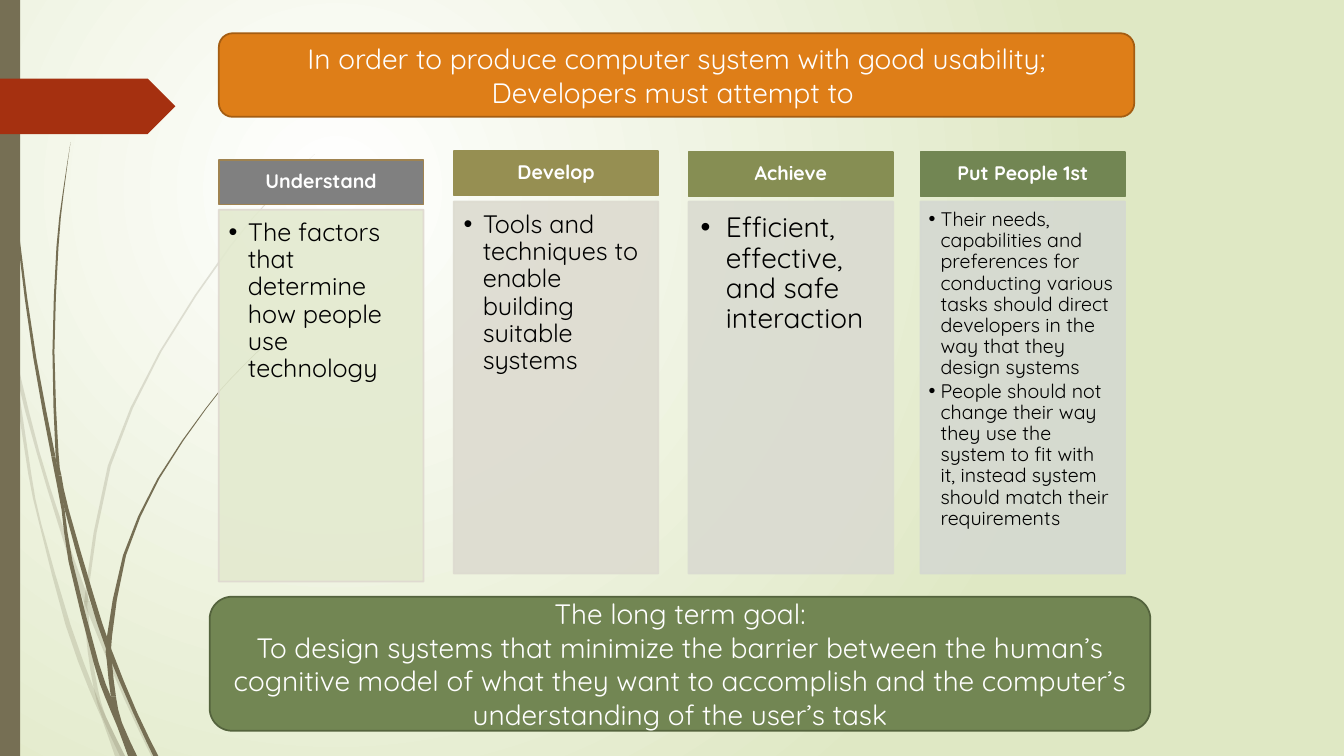
import lxml.etree
import pptx
import pptx.dml.color
import pptx.enum.shapes
import pptx.enum.text
import pptx.oxml.ns
import pptx.util

Inches = pptx.util.Inches
Pt = pptx.util.Pt
RGBColor = pptx.dml.color.RGBColor
MSO_SHAPE = pptx.enum.shapes.MSO_SHAPE
PP_ALIGN = pptx.enum.text.PP_ALIGN
MSO_ANCHOR = pptx.enum.text.MSO_ANCHOR
qn = pptx.oxml.ns.qn

FONT = "Quicksand"
WHITE = RGBColor(0xFF, 0xFF, 0xFF)
BLACK = RGBColor(0, 0, 0)
PALE_GREEN = RGBColor(0xDF, 0xE8, 0xC4)
BROWN = RGBColor(0x76, 0x6F, 0x54)
RED = RGBColor(0xA5, 0x30, 0x10)
ORANGE = RGBColor(0xDE, 0x7E, 0x18)
DARK_ORANGE = RGBColor(0xA4, 0x5D, 0x12)
GREEN = RGBColor(0x72, 0x86, 0x53)
DARK_GREEN = RGBColor(0x54, 0x63, 0x3D)
GREY = RGBColor(0x80, 0x80, 0x80)
TAN = RGBColor(0x9F, 0x83, 0x51)
OLIVE = RGBColor(0x96, 0x8F, 0x52)
MOSS = RGBColor(0x86, 0x8E, 0x53)
LIME_TINT = RGBColor(0xE3, 0xEA, 0xCF)
SAND_TINT = RGBColor(0xDF, 0xD9, 0xD0)
OLIVE_TINT = RGBColor(0xDD, 0xDB, 0xD0)
MOSS_TINT = RGBColor(0xDA, 0xDB, 0xD1)
GREEN_TINT = RGBColor(0xD5, 0xD9, 0xD1)

# Each blade has the heights of its joints, then rows of (y, left edge, right edge).
PALE_BLADES = [
    ((3.5, 7.13), [
        (2.82, 0, 0), (3, 0, .04), (3.22, .05, .09), (3.5, .11, .12), (3.76, .14, .17),
        (4.7, .28, .31), (5.2, .39, .41), (6.2, .65, .7), (6.83, .88, .93),
        (7.13, 1.01, 1.06), (7.5, 1.14, 1.24)]),
    ((5.97,), [
        (3.45, .14, .14), (3.76, .17, .21), (4.48, .36, .39), (5.21, .58, .62),
        (5.97, .83, .89), (6.93, 1.23, 1.27), (7.5, 1.5, 1.55)]),
    ((5.84, 6.1, 6.83), [
        (1.53, 3.12, 3.12), (1.75, 2.89, 2.9), (1.98, 2.67, 2.68), (2.45, 2.27, 2.29),
        (3.49, 1.58, 1.6), (4.62, 1.07, 1.1), (5.84, .85, .88), (6.1, .84, .88),
        (6.46, .87, .91), (6.83, .93, .97), (7.11, 1.01, 1.05), (7.5, 1.19, 1.24)]),
]
DARK_BLADES = [
    ((4.53, 5.05, 7.2), [
        (0, .03, .04), (.48, .04, .05), (1.1, .07, .08), (2.33, .17, .19), (3.55, .33, .36),
        (4.53, .51, .55), (5.05, .61, .64), (5.57, .68, .72), (6.58, .93, .98),
        (6.91, 1.04, 1.1), (7.2, 1.16, 1.2), (7.5, 1.27, 1.34)]),
    ((4.72, 6.43), [
        (1.41, .7, .7), (1.93, .62, .63), (2.45, .56, .58), (3.49, .52, .54),
        (4.49, .55, .58), (4.72, .58, .61), (5.05, .64, .68), (5.91, .88, .93),
        (6.43, 1.05, 1.1), (7.07, 1.32, 1.36), (7.5, 1.52, 1.57)]),
    ((6.32, 6.56, 6.91), [
        (3.44, 2.6, 2.61), (3.74, 2.3, 2.31), (4.05, 2.04, 2.05), (4.75, 1.56, 1.58),
        (5.51, 1.22, 1.25), (6.32, 1.06, 1.11), (6.56, 1.06, 1.11), (6.91, 1.1, 1.15),
        (7.17, 1.16, 1.21), (7.5, 1.28, 1.36)]),
]

COLUMNS = [
    dict(left=2.17, top=1.59, title="Understand", fill=GREY, line=TAN,
         tint=LIME_TINT, edge=SAND_TINT, size=18, indent=.19, insets=(.1, .1, .14, .16),
         points=["The factors that determine how people use technology"]),
    dict(left=4.5, top=1.5, title="Develop", fill=OLIVE, line=OLIVE,
         tint=OLIVE_TINT, edge=OLIVE_TINT, size=18, indent=.19, insets=(.1, .1, .14, .16),
         points=["Tools and techniques to enable building suitable systems"]),
    dict(left=6.83, top=1.51, title="Achieve", fill=MOSS, line=MOSS,
         tint=MOSS_TINT, edge=MOSS_TINT, size=20, indent=.25, insets=(.12, .12, .16, .17),
         points=["Efficient, effective, and safe interaction"]),
    dict(left=9.13, top=1.51, title="Put People 1st", fill=GREEN, line=GREEN,
         tint=GREEN_TINT, edge=GREEN_TINT, size=14, indent=.12, insets=(.08, .08, .11, .12),
         points=["Their needs, capabilities and preferences for conducting various tasks "
                 "should direct developers in the way that they design systems",
                 "People should not change their way they use the system to fit with it, "
                 "instead system should match their requirements"]),
]


def set_alpha(sp, percent):
    """Make every solid colour of a shape partly transparent."""
    for clr in sp.element.spPr.iter(qn("a:srgbClr")):
        lxml.etree.SubElement(clr, qn("a:alpha"), val=str(percent * 1000))


def paint(sp, fill, line=None):
    """Give a shape a plain fill, an optional outline and no shadow."""
    sp.shadow.inherit = False
    sp.fill.solid()
    sp.fill.fore_color.rgb = fill
    if line is None:
        sp.line.fill.background()
    else:
        sp.line.color.rgb = line
        sp.line.width = Pt(1.25)


def add_box(s, kind, box, fill, line=None):
    """Add a painted preset shape in a box given in inches."""
    sp = s.shapes.add_shape(kind, *map(Inches, box))
    paint(sp, fill, line)
    return sp


def add_text(sp, texts, size, color, align, anchor, insets, bold=False, spacing=1, indent=0):
    """Write paragraphs into a shape, bulleted when an indent is given."""
    tf = sp.text_frame
    tf.word_wrap = True
    tf.vertical_anchor = anchor
    tf.margin_left, tf.margin_top, tf.margin_right, tf.margin_bottom = map(Inches, insets)
    for i, text in enumerate(texts):
        p = tf.add_paragraph() if i else tf.paragraphs[0]
        p.alignment = align
        p.line_spacing = spacing
        if indent:
            pPr = p._p.get_or_add_pPr()
            pPr.set("marL", str(Inches(indent)))
            pPr.set("indent", str(-Inches(indent)))
            lxml.etree.SubElement(pPr, qn("a:buFont"), typeface="Arial")
            lxml.etree.SubElement(pPr, qn("a:buChar"), char="•")
            p.space_after = Pt(size * .1)
        r = p.add_run()
        r.text = text
        r.font.name = FONT
        r.font.size = Pt(size)
        r.font.bold = bold
        r.font.color.rgb = color


def add_background(s):
    """Fill the background with a glow centred in the upper left."""
    fill = s.background.fill
    fill.gradient()
    for stop, color in zip(fill.gradient_stops, (WHITE, PALE_GREEN)):
        stop.color.rgb = color
    grad = next(s.element.iter(qn("a:gradFill")))
    grad.remove(grad.find(qn("a:lin")))
    glow = lxml.etree.SubElement(grad, qn("a:path"), path="circle")
    lxml.etree.SubElement(glow, qn("a:fillToRect"), l="50000", t="50000", r="100000", b="100000")


def smooth_rows(rows, steps=2):
    """Return blade rows with Catmull-Rom points between them."""
    ends = [rows[0], *rows, rows[-1]]
    out = []
    for a, b, c, d in zip(ends, ends[1:], ends[2:], ends[3:]):
        for t in (i / steps for i in range(steps)):
            out.append([.5 * (2 * q + (r - p) * t + (2 * p - 5 * q + 4 * r - u) * t ** 2
                              + (3 * q - p - 3 * r + u) * t ** 3)
                        for p, q, r, u in zip(a, b, c, d)])
    return out + [rows[-1]]


def add_blade(s, joints, rows, alpha):
    """Draw one curved blade of grass, section by section."""
    rows = smooth_rows(rows)
    stops = [rows[0][0], *joints, rows[-1][0]]
    for top, bottom in zip(stops, stops[1:]):
        part = [row for row in rows if top - .001 <= row[0] <= bottom + .001]
        edge = [(x, y) for y, x, _ in part] + [(x, y) for y, _, x in reversed(part)]
        pts = [(Inches(x), Inches(y)) for x, y in edge]
        fb = s.shapes.build_freeform(*pts[0])
        fb.add_line_segments(pts[1:])
        sp = fb.convert_to_shape()
        paint(sp, BROWN)
        set_alpha(sp, alpha)


def add_side_decor(s):
    """Draw the grass, the side bar and the red arrow tab."""
    for blades, alpha in ((PALE_BLADES, 20), (DARK_BLADES, 100)):
        for joints, rows in blades:
            add_blade(s, joints, rows, alpha)
    add_box(s, MSO_SHAPE.RECTANGLE, (0, 0, .2, 7.5), BROWN)
    add_box(s, MSO_SHAPE.PENTAGON, (0, .78, 1.74, .55), RED)


def add_column(s, left, top, title, fill, line, tint, edge, size, indent, insets, points):
    """Draw a titled header above its panel of bullets."""
    header = add_box(s, MSO_SHAPE.RECTANGLE, (left, top, 2.03, .44), fill, line)
    add_text(header, [title], 14, WHITE, PP_ALIGN.CENTER, MSO_ANCHOR.MIDDLE,
             (.11, .06, .11, .06), bold=True, spacing=.9)
    panel = add_box(s, MSO_SHAPE.RECTANGLE, (left, max(2, top + .49), 2.03, 3.69), tint, edge)
    set_alpha(panel, 90)
    add_text(panel, points, size, BLACK, PP_ALIGN.LEFT, MSO_ANCHOR.TOP,
             insets, spacing=.9, indent=indent)


def add_banner(s, box, fill, line, texts):
    """Draw a rounded banner with centred lines."""
    sp = add_box(s, MSO_SHAPE.ROUNDED_RECTANGLE, box, fill, line)
    add_text(sp, texts, 20, WHITE, PP_ALIGN.CENTER, MSO_ANCHOR.MIDDLE, (.1, .05, .1, .05))


def main():
    """Build the slide and save it."""
    prs = pptx.Presentation()
    prs.slide_width, prs.slide_height = Inches(13.33), Inches(7.5)
    s = prs.slides.add_slide(prs.slide_layouts[6])
    add_background(s)
    add_side_decor(s)
    for column in COLUMNS:
        add_column(s, **column)
    add_banner(s, (2.17, .33, 9.08, .83), ORANGE, DARK_ORANGE,
               ["In order to produce computer system with good usability;",
                "Developers must attempt to "])
    add_banner(s, (2.08, 5.92, 9.33, 1.33), GREEN, DARK_GREEN,
               ["The long term goal:",
                "To design systems that minimize the barrier between the human’s cognitive model "
                "of what they want to accomplish and the computer’s understanding of the user’s task"])
    prs.save("out.pptx")


if __name__ == "__main__":
    main()
